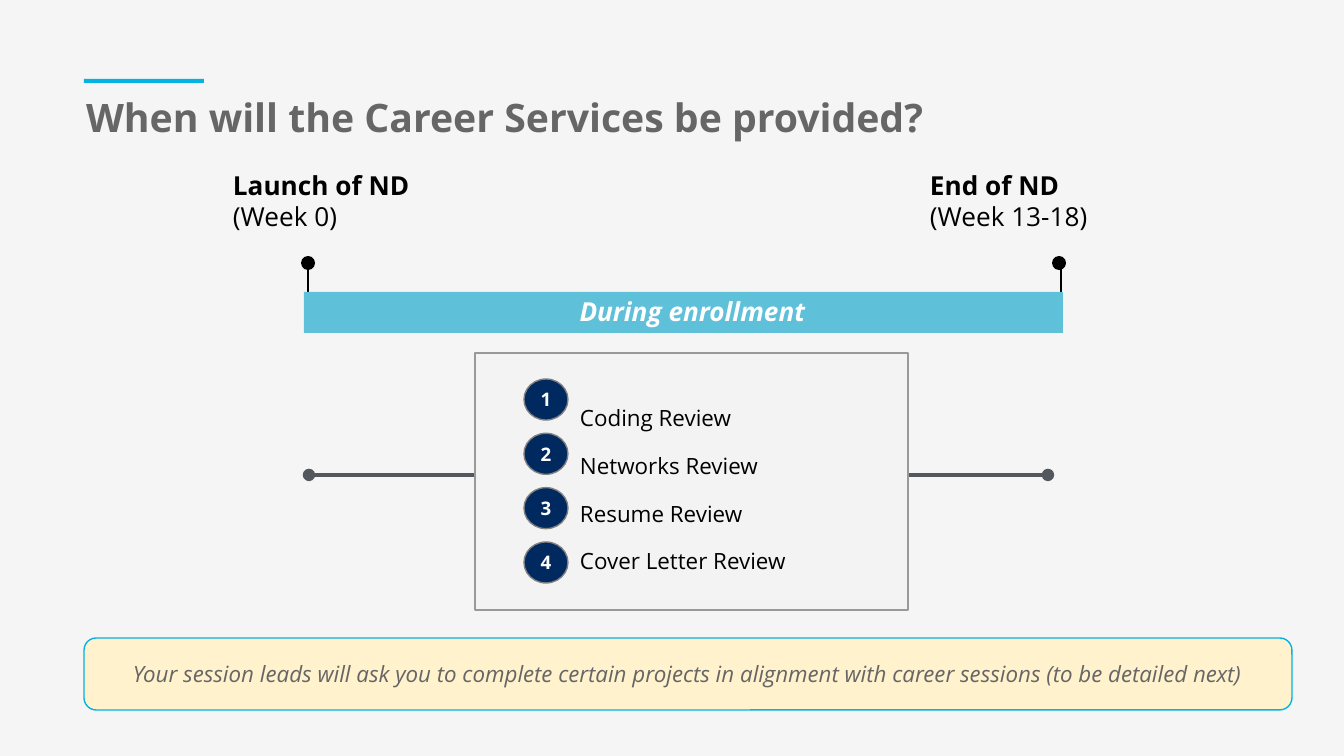
from lxml.etree import SubElement
from pptx import Presentation
from pptx.dml.color import RGBColor
from pptx.enum.shapes import MSO_CONNECTOR, MSO_SHAPE as SHAPE
from pptx.enum.text import MSO_ANCHOR as ANCHOR, PP_ALIGN as ALIGN
from pptx.oxml.ns import qn
from pptx.util import Pt

EMU_PER_PX = 914400 / 134.4
FONT = "Open Sans"
INSET = 13
COLORS = {
    "background": "F5F5F6", "accent": "02B3E4", "gray": "666666",
    "black": "000000", "white": "FFFFFF", "bar": "5EC0D9",
    "timeline": "53585F", "panel": "F3F3F3", "panel_line": "999999",
    "badge": "002960", "badge_line": "808080", "note": "FFF2CC",
}

TITLE = "When will the Career Services be provided?"
# heading, weeks, label left, pin line x, pin dot left
MILESTONES = [
    ("Launch of ND", "(Week 0)", 220, 308, 301),
    ("End of ND", "(Week 13-18)", 917, 1061, 1052),
]
BAR_LABEL = "During enrollment"
REVIEWS = ["Coding Review", "Networks Review", "Resume Review", "Cover Letter Review"]
NOTE = ("Your session leads will ask you to complete certain projects "
        "in alignment with career sessions (to be detailed next)")

FIRST_BADGE_TOP, LAST_BADGE_TOP = 379, 542


def px(value):
    return round(value * EMU_PER_PX)


def color(name):
    return RGBColor.from_string(COLORS[name])


def write(shape, lines, size, ink, bold=(), italic=False, align=ALIGN.LEFT,
          anchor=ANCHOR.TOP, inset=INSET, spacing=None):
    """Fill a shape with one paragraph a line; bold holds the bold line numbers."""
    frame = shape.text_frame
    frame.word_wrap = True
    frame.vertical_anchor = anchor
    frame.margin_left = frame.margin_right = px(inset)
    frame.margin_top = frame.margin_bottom = px(inset)
    for number, line in enumerate(lines):
        paragraph = frame.add_paragraph() if number else frame.paragraphs[0]
        paragraph.alignment = align
        if spacing:
            paragraph.line_spacing = spacing
        run = paragraph.add_run()
        run.text = line
        run.font.name = FONT
        run.font.size = Pt(size)
        run.font.bold = number in bold
        run.font.italic = italic
        run.font.color.rgb = color(ink)


def add_text(slide, box, lines, size, ink, **style):
    write(slide.shapes.add_textbox(*map(px, box)), lines, size, ink, **style)


def add_shape(slide, kind, box, fill, line=None, width=0.75):
    shape = slide.shapes.add_shape(kind, *map(px, box))
    shape.shadow.inherit = False
    shape.fill.solid()
    shape.fill.fore_color.rgb = color(fill)
    if line:
        shape.line.color.rgb = color(line)
        shape.line.width = Pt(width)
    else:
        shape.line.fill.background()
    return shape


def add_line(slide, start, end, ink, width, oval_ends=False):
    connector = slide.shapes.add_connector(
        MSO_CONNECTOR.STRAIGHT, *map(px, start + end))
    connector.line.color.rgb = color(ink)
    connector.line.width = Pt(width)
    if oval_ends:
        outline = connector.line._get_or_add_ln()
        for tag in ("a:headEnd", "a:tailEnd"):
            SubElement(outline, qn(tag), type="oval")
    SubElement(connector._element.spPr, qn("a:effectLst"))


def main():
    presentation = Presentation()
    presentation.slide_width, presentation.slide_height = px(1344), px(756)
    slide = presentation.slides.add_slide(presentation.slide_layouts[6])
    slide.background.fill.solid()
    slide.background.fill.fore_color.rgb = color("background")

    add_text(slide, (73, 67, 1220, 99), [TITLE], 21, "gray",
             bold=[0], anchor=ANCHOR.MIDDLE)
    add_shape(slide, SHAPE.RECTANGLE, (84, 79, 120, 4), "accent")

    for heading, weeks, label_left, pin_x, dot_left in MILESTONES:
        add_text(slide, (label_left, 156, 249, 73), [heading, weeks], 14,
                 "black", bold=[0])
        add_line(slide, (pin_x, 263), (pin_x, 316), "black", 0.75)
        add_shape(slide, SHAPE.OVAL, (dot_left, 256, 14, 14), "black")

    add_shape(slide, SHAPE.RECTANGLE, (304, 292, 759, 41), "bar")
    add_text(slide, (488, 282, 409, 52), [BAR_LABEL], 14, "white",
             bold=[0], italic=True, align=ALIGN.CENTER)

    add_line(slide, (309, 475), (1048, 475), "timeline", 2.25, oval_ends=True)
    add_shape(slide, SHAPE.RECTANGLE, (475, 353, 433, 257), "panel",
              "panel_line", 1.5)
    badge_step = (LAST_BADGE_TOP - FIRST_BADGE_TOP) / (len(REVIEWS) - 1)
    for index in range(len(REVIEWS)):
        top = FIRST_BADGE_TOP + index * badge_step
        badge = add_shape(slide, SHAPE.OVAL, (524, top, 44, 41), "badge", "badge_line")
        write(badge, [str(index + 1)], 10, "white", bold=[0],
              align=ALIGN.CENTER, anchor=ANCHOR.MIDDLE, inset=0)
    add_text(slide, (567, 371, 331, 89), REVIEWS, 12, "black", spacing=1.77)

    note = add_shape(slide, SHAPE.ROUNDED_RECTANGLE, (84, 638, 1208, 72),
                     "note", "accent")
    note.adjustments[0] = 0.17
    write(note, [NOTE], 12, "gray", italic=True, align=ALIGN.CENTER,
          anchor=ANCHOR.MIDDLE)

    presentation.save("out.pptx")


if __name__ == "__main__":
    main()
